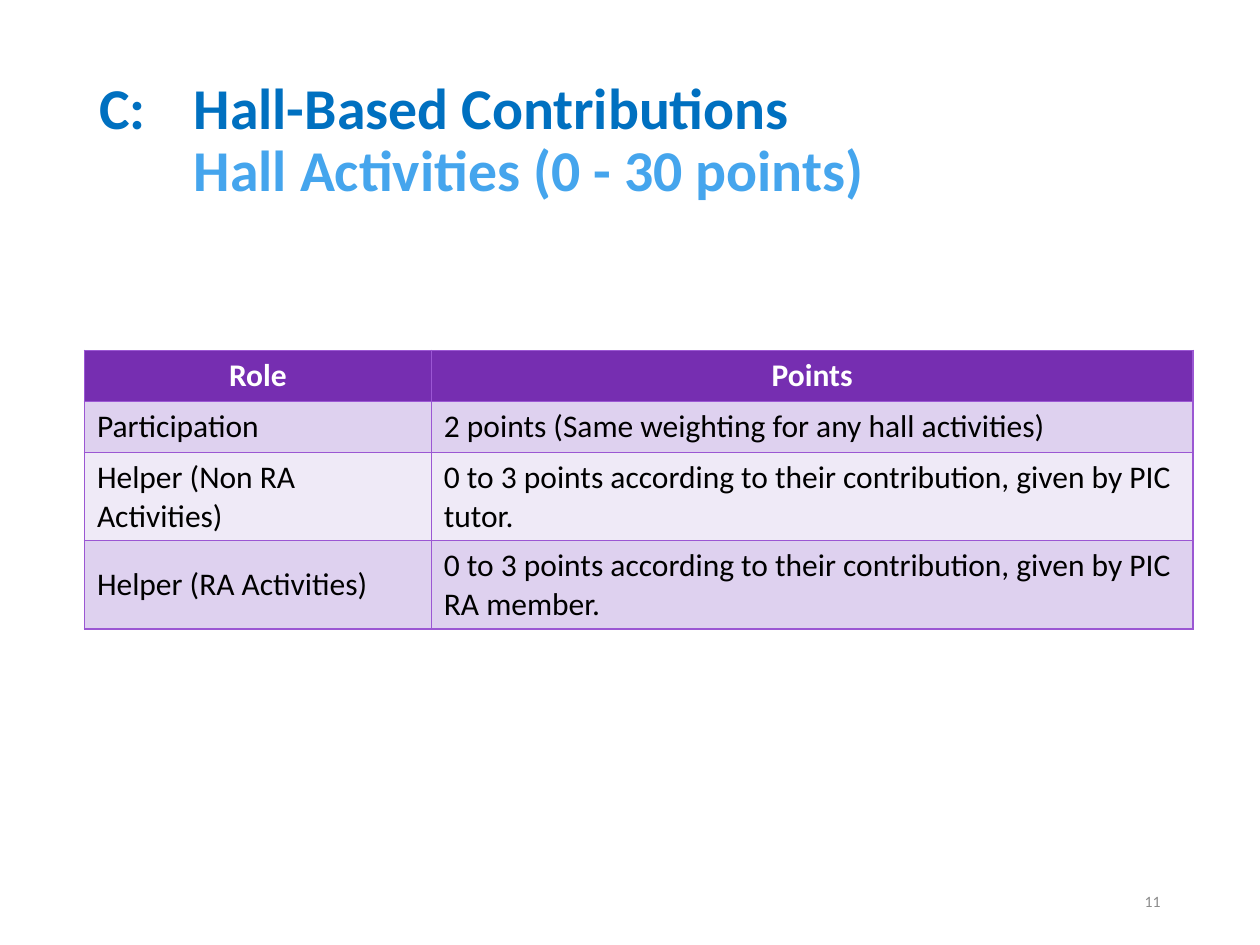
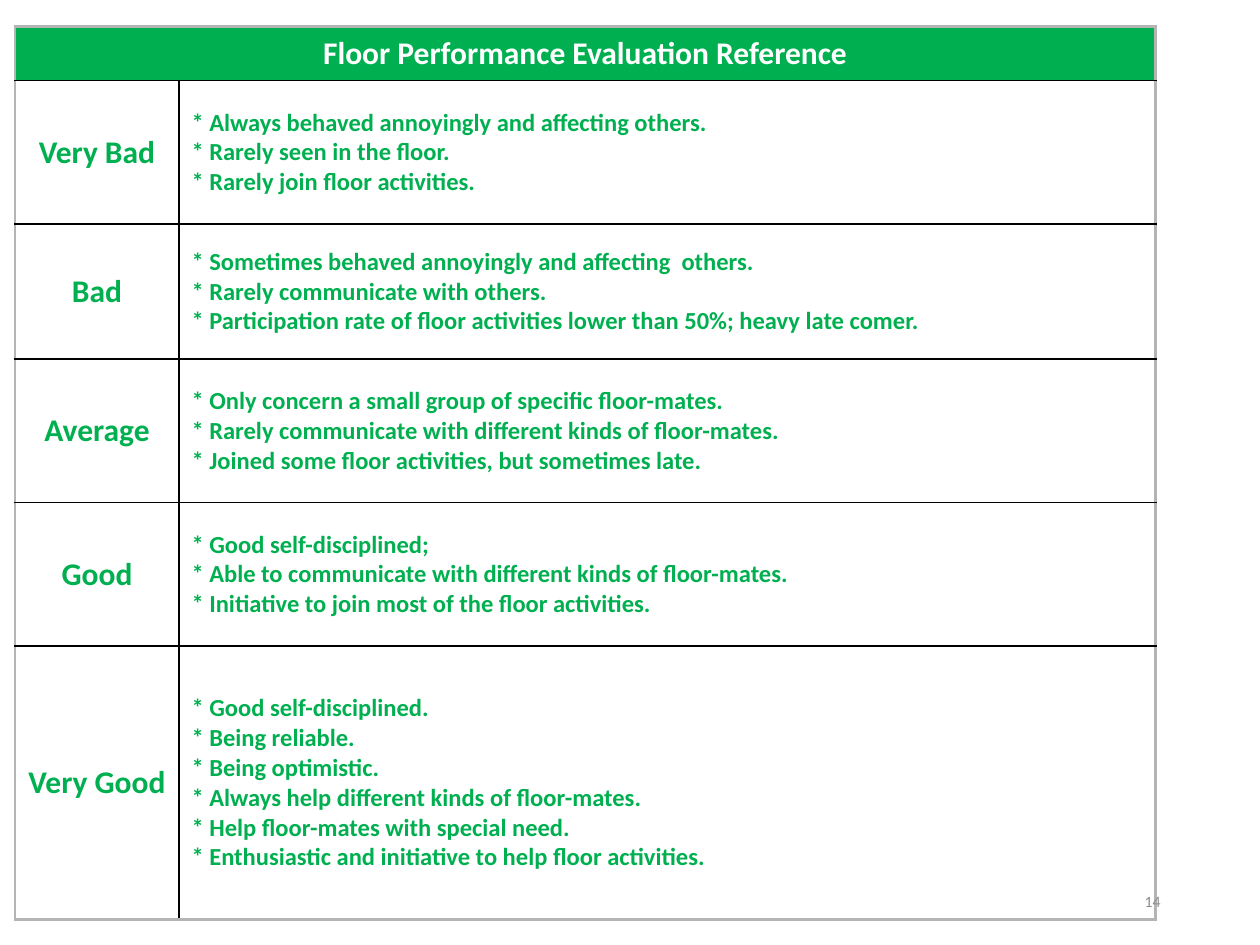
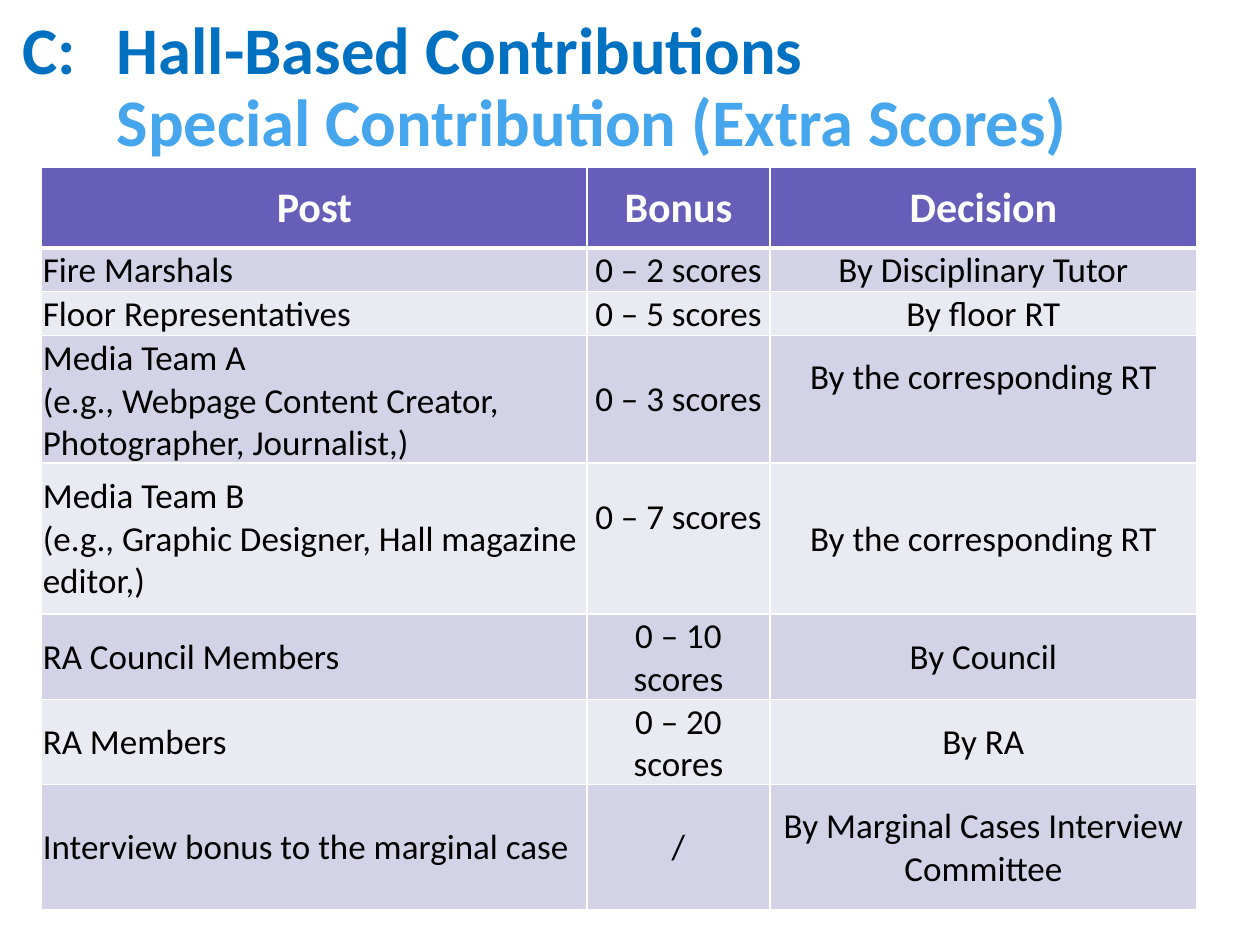
from dataclasses import dataclass

from lxml import etree
from pptx import Presentation
from pptx.dml.color import RGBColor
from pptx.enum.text import MSO_ANCHOR, PP_ALIGN
from pptx.oxml.ns import qn
from pptx.util import Inches, Pt

LEFT, CENTER, RIGHT = PP_ALIGN.LEFT, PP_ALIGN.CENTER, PP_ALIGN.RIGHT
MIDDLE = MSO_ANCHOR.MIDDLE
GRID = 12  # grid cells per inch: the slide is 120 columns by 90 rows


@dataclass(frozen=True)
class Theme:
    font: str = "Calibri"
    white: str = "FFFFFF"
    black: str = "000000"
    title: str = "0070C0"
    subtitle: str = "45A5ED"
    number: str = "8C8C8C"
    violet: str = "762EB1"
    violet_line: str = "9B57D3"
    violet_bands: tuple = ("DED1EF", "EFEAF7")
    green: str = "00B050"
    frame: str = "B4B4B4"
    indigo: str = "665EB8"
    indigo_bands: tuple = ("D3D2E6", "EAEAF3")
    number_size: int = 9
    detail_size: int = 14
    body_size: int = 18
    large_size: int = 20
    head_size: int = 24


T = Theme()
NUMBER_BOX = (84.72, 83.4, 27, 4.8)
TITLE_TAB = 9
SPARE_LINE = 4.2

ACTIVITIES = [
    ("Role", "Points"),
    ("Participation", "2 points (Same weighting for any hall activities)"),
    ("Helper (Non RA Activities)",
     "0 to 3 points according to their contribution, given by PIC tutor."),
    ("Helper (RA Activities)",
     "0 to 3 points according to their contribution, given by PIC RA member."),
]

RATINGS = [
    ("Very Bad", ["Always behaved annoyingly and affecting others.",
                  "Rarely seen in the floor.",
                  "Rarely join floor activities."]),
    ("Bad", ["Sometimes behaved annoyingly and affecting  others.",
             "Rarely communicate with others.",
             "Participation rate of floor activities lower than 50%; heavy late comer."]),
    ("Average", ["Only concern a small group of specific floor-mates.",
                 "Rarely communicate with different kinds of floor-mates.",
                 "Joined some floor activities, but sometimes late."]),
    ("Good", ["Good self-disciplined;",
              "Able to communicate with different kinds of floor-mates.",
              "Initiative to join most of the floor activities."]),
    ("Very Good", ["Good self-disciplined.",
                   "Being reliable.",
                   "Being optimistic.",
                   "Always help different kinds of floor-mates.",
                   "Help floor-mates with special need.",
                   "Enthusiastic and initiative to help floor activities."]),
]

BONUSES = [
    ("Post", "Bonus", "Decision"),
    ("Fire Marshals", "0 – 2 scores", "By Disciplinary Tutor"),
    ("Floor Representatives", "0 – 5 scores", "By floor RT"),
    ("Media Team A\n(e.g., Webpage Content Creator, Photographer, Journalist,)",
     "0 – 3 scores", "By the corresponding RT"),
    ("Media Team B\n(e.g., Graphic Designer, Hall magazine editor,)",
     "0 – 7 scores", "By the corresponding RT"),
    ("RA Council Members", "0 – 10 scores", "By Council"),
    ("RA Members", "0 – 20 scores", "By RA"),
    ("Interview bonus to the marginal case", "/",
     "By Marginal Cases Interview Committee"),
]


def cells(n):
    return Inches(n / GRID)


def style(p, size, color, bold=False, align=LEFT):
    p.alignment = align
    p.font.name, p.font.size, p.font.bold = T.font, Pt(size), bold
    p.font.color.rgb = RGBColor.from_string(color)


def add_text_frame(s, box):
    tf = s.shapes.add_textbox(*map(cells, box)).text_frame
    tf.word_wrap = True
    tf.vertical_anchor = MIDDLE
    return tf


def add_title(s, box, label, subtitle, size):
    """Two lines whose wording starts at one shared tab stop."""
    p = add_text_frame(s, box).paragraphs[0]
    tabs = etree.SubElement(p._p.get_or_add_pPr(), qn("a:tabLst"))
    etree.SubElement(tabs, qn("a:tab"), pos=str(cells(TITLE_TAB)), algn="l")
    p.line_spacing = 0.9
    style(p, size, T.title, bold=True)
    p.add_run().text = f"{label}\tHall-Based Contributions"
    p.add_line_break()
    r = p.add_run()
    r.text = f"\t{subtitle}"
    r.font.color.rgb = RGBColor.from_string(T.subtitle)


def add_number(s, number):
    p = add_text_frame(s, NUMBER_BOX).paragraphs[0]
    p.text = str(number)
    style(p, T.number_size, T.number, align=RIGHT)


def add_grid_table(s, box, col_shares, row_shares):
    """Plain table that divides its box by the given shares."""
    table = s.shapes.add_table(len(row_shares), len(col_shares),
                               *map(cells, box)).table
    table.first_row = table.horz_banding = False
    for col, share in zip(table.columns, col_shares):
        col.width = cells(box[2] * share / sum(col_shares))
    for row, share in zip(table.rows, row_shares):
        row.height = cells(box[3] * share / sum(row_shares))
    return table


def set_borders(cell, **sides):
    """Each of L, R, T and B is a pair of colour and width in points."""
    tcPr = cell._tc.get_or_add_tcPr()
    for side in "LRTB":
        color, width = sides[side]
        ln = etree.SubElement(tcPr, qn(f"a:ln{side}"), w=str(Pt(width)))
        fill = etree.SubElement(ln, qn("a:solidFill"))
        etree.SubElement(fill, qn("a:srgbClr"), val=color)


def fill_cell(cell, text, fill, size, color, bold=False, align=LEFT):
    cell.vertical_anchor = MIDDLE
    if fill:
        cell.fill.solid()
        cell.fill.fore_color.rgb = RGBColor.from_string(fill)
    else:
        cell.fill.background()
    cell.text = text
    for p in cell.text_frame.paragraphs:
        style(p, size, color, bold, align)


def fill_banded(table, rows, head, bands, line, sizes, aligns, head_rule=1):
    """Header row over rows in two alternating tints."""
    head_size, body_size = sizes
    for i, row in enumerate(rows):
        for j, text in enumerate(row):
            cell = table.cell(i, j)
            edges = dict.fromkeys("LRTB", (line, 1))
            if i == 0:
                edges["B"] = (line, head_rule)
            elif i == 1:
                edges["T"] = (line, head_rule)
            set_borders(cell, **edges)
            if i == 0:
                fill_cell(cell, text, head, head_size, T.white, True, CENTER)
            else:
                fill_cell(cell, text, bands[(i - 1) % 2], body_size, T.black,
                          align=aligns[j])


def activities_slide(s):
    add_title(s, (8.28, 4.8, 103.44, 17.4), "C:",
              "Hall Activities (0 - 30 points)", 33)
    add_number(s, 11)
    table = add_grid_table(s, (8.04, 33.36, 105.6, 19.44), (2.75, 6.04), [1] * 4)
    fill_banded(table, ACTIVITIES, T.violet, T.violet_bands, T.violet_line,
                (T.body_size, T.body_size), (LEFT, LEFT))


def ratings_slide(s):
    table = add_grid_table(s, (1.44, 2.52, 108.6, 85.08), (1.3, 7.75),
                           (0.43, 1.14, 1.07, 1.14, 1.14, 2.17))
    frame, rule = (T.frame, 1.5), (T.black, 1)
    last = len(RATINGS)
    for i in range(last + 1):
        for j in range(2):
            set_borders(table.cell(i, j),
                        L=rule if j else frame, R=frame if j or i == 0 else rule,
                        T=rule if i else frame, B=frame if i == last else rule)
    table.cell(0, 0).merge(table.cell(0, 1))
    fill_cell(table.cell(0, 0), "Floor Performance Evaluation Reference",
              T.green, T.body_size, T.white, True, CENTER)
    for i, (rating, signs) in enumerate(RATINGS, 1):
        fill_cell(table.cell(i, 0), rating, None, T.body_size, T.green, True, CENTER)
        fill_cell(table.cell(i, 1), "\n".join(f"* {sign}" for sign in signs),
                  None, T.detail_size, T.green, True)
    add_number(s, 14)


def bonuses_slide(s):
    add_title(s, (0.96, 0.96, 114, 15), "C: ",
              "Special Contribution (Extra Scores)", 38)
    table = add_grid_table(s, (3.96, 15.96, 110.04, 66.6), (4.33, 1.45, 3.39),
                           (0.64, 0.27, 0.35, 0.96, 1.2, 0.5, 0.64, 0.99))
    fill_banded(table, BONUSES, T.indigo, T.indigo_bands, T.white,
                (T.head_size, T.large_size), (LEFT, CENTER, CENTER), head_rule=3)
    for i in range(1, len(BONUSES)):
        for j in range(3):
            cell = table.cell(i, j)
            cell.margin_left = cell.margin_right = cell.margin_top = Inches(0.01)
            cell.margin_bottom = 0
    for i, j in ((3, 2), (4, 1)):
        table.cell(i, j).margin_bottom = cells(SPARE_LINE)


def main():
    prs = Presentation()
    prs.slide_width, prs.slide_height = Inches(10), Inches(7.5)
    blank = prs.slide_layouts[6]
    for build in (activities_slide, ratings_slide, bonuses_slide):
        build(prs.slides.add_slide(blank))
    prs.save("out.pptx")


if __name__ == "__main__":
    main()
